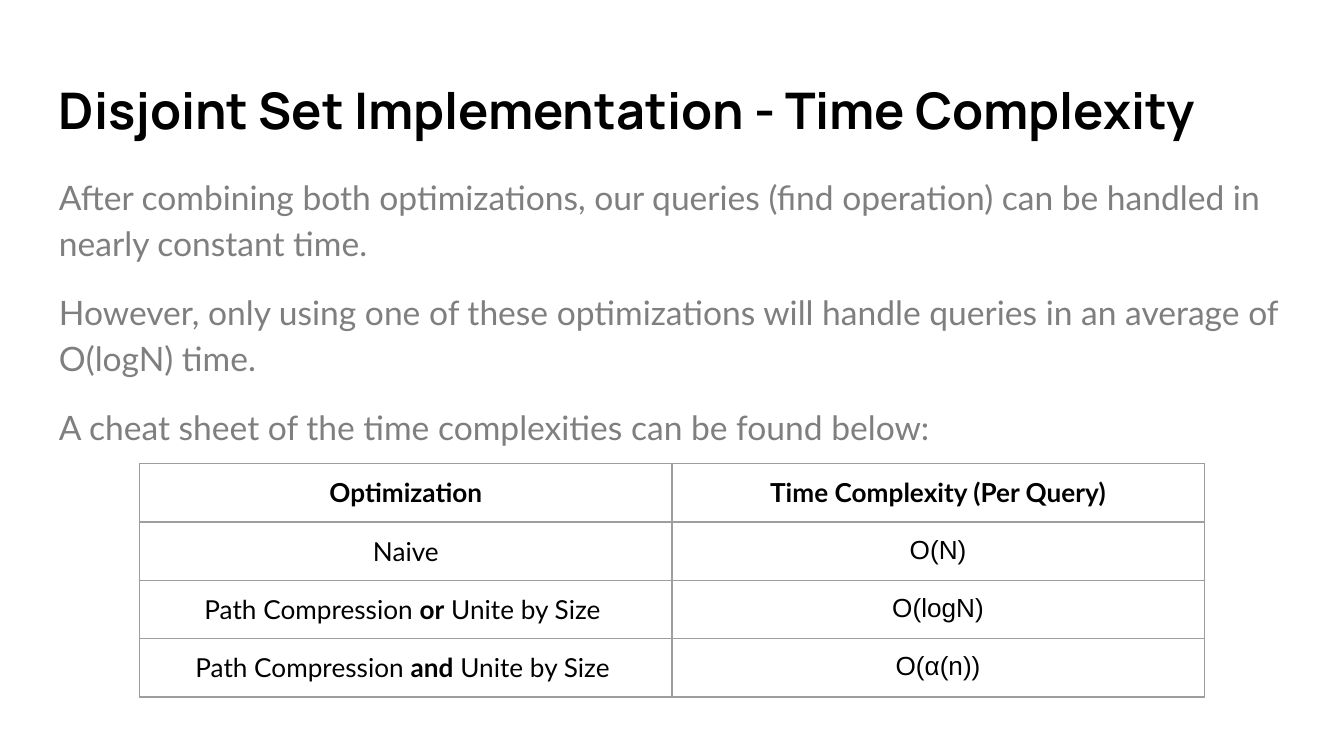
from dataclasses import dataclass

from lxml.etree import SubElement
from pptx import Presentation
from pptx.dml.color import RGBColor as Color
from pptx.enum.text import PP_ALIGN as Align
from pptx.oxml.ns import qn
from pptx.util import Inches, Pt


@dataclass(frozen=True)
class Theme:
    ink: str = "000000"
    muted: str = "7F7F7F"
    border: str = "9E9E9E"
    paper: str = "FFFFFF"
    title_font: str = "Manrope"
    body_font: str = "Lato"
    formula_font: str = "Arial"
    title_size: int = 27
    body_size: int = 18
    table_size: int = 14
    border_width: float = 0.75
    inset: float = 0.1


class SlideBuilder:
    def __init__(self, deck, theme):
        self.theme = theme
        self.slide = deck.slides.add_slide(deck.slide_layouts[6])
        fill = self.slide.background.fill
        fill.solid()
        fill.fore_color.rgb = Color.from_string(theme.paper)

    def set_font(self, font, name, size, color, bold=False):
        font.name = name
        font.size = Pt(size)
        font.color.rgb = Color.from_string(color)
        font.bold = bold

    def set_margins(self, holder):
        for side in ("left", "right", "top", "bottom"):
            setattr(holder, f"margin_{side}", Inches(self.theme.inset))

    def text_box(self, bounds, texts, font_style, line_spacing=1.0, gap=0):
        box = self.slide.shapes.add_textbox(*map(Inches, bounds))
        frame = box.text_frame
        frame.word_wrap = True
        self.set_margins(frame)
        for index, text in enumerate(texts):
            para = frame.add_paragraph() if index else frame.paragraphs[0]
            para.text = text
            para.line_spacing = line_spacing
            para.space_before = Pt(gap if index else 0)
            self.set_font(para.font, *font_style)

    def border_cell(self, cell):
        properties = cell._tc.get_or_add_tcPr()
        for side in ("lnL", "lnR", "lnT", "lnB"):
            line = SubElement(properties, qn(f"a:{side}"), w=str(Pt(self.theme.border_width)))
            fill = SubElement(line, qn("a:solidFill"))
            SubElement(fill, qn("a:srgbClr"), val=self.theme.border)

    def fill_cell(self, cell, spans, font_name, bold):
        theme = self.theme
        self.set_margins(cell)
        self.border_cell(cell)
        cell.fill.background()
        para = cell.text_frame.paragraphs[0]
        para.alignment = Align.CENTER
        self.set_font(para.font, font_name, theme.table_size, theme.ink, bold)
        for index, text in enumerate(spans):
            span = para.add_run()
            span.text = text
            self.set_font(span.font, font_name, theme.table_size, theme.ink, bold or index == 1)

    def table(self, left, top, column_width, row_height, rows):
        columns = len(rows[0])
        frame = self.slide.shapes.add_table(
            len(rows), columns, Inches(left), Inches(top),
            Inches(column_width * columns), Inches(row_height * len(rows)))
        table = frame.table
        table.first_row = False
        table.horz_banding = False
        for row_index, row in enumerate(rows):
            for column_index, spans in enumerate(row):
                header = row_index == 0
                formula = column_index == 1 and not header
                font_name = self.theme.formula_font if formula else self.theme.body_font
                self.fill_cell(table.cell(row_index, column_index), spans, font_name, header)


def main():
    deck = Presentation()
    deck.slide_width = Inches(10)
    deck.slide_height = deck.slide_width * 9 // 16
    theme = Theme()
    page = SlideBuilder(deck, theme)

    page.text_box(
        (0.34, 0.49, 9.32, 0.68),
        ["Disjoint Set Implementation - Time Complexity"],
        (theme.title_font, theme.title_size, theme.ink, True))
    page.text_box(
        (0.34, 1.17, 9.32, 3.74),
        ["After combining both optimizations, our queries (find operation) can be handled in "
         "nearly constant time.",
         "However, only using one of these optimizations will handle queries in an average of "
         "O(logN) time.",
         "A cheat sheet of the time complexities can be found below:"],
        (theme.body_font, theme.body_size, theme.muted), line_spacing=1.15, gap=12)
    page.table(1.04, 3.45, 3.96, 0.42, [
        (["Optimization"], ["Time Complexity (Per Query)"]),
        (["Naive"], ["O(N)"]),
        (["Path Compression ", "or", " Unite by Size "], ["O(logN)"]),
        (["Path Compression ", "and", " Unite by Size "], ["O(α(n))"]),
    ])
    deck.save("out.pptx")


if __name__ == "__main__":
    main()
